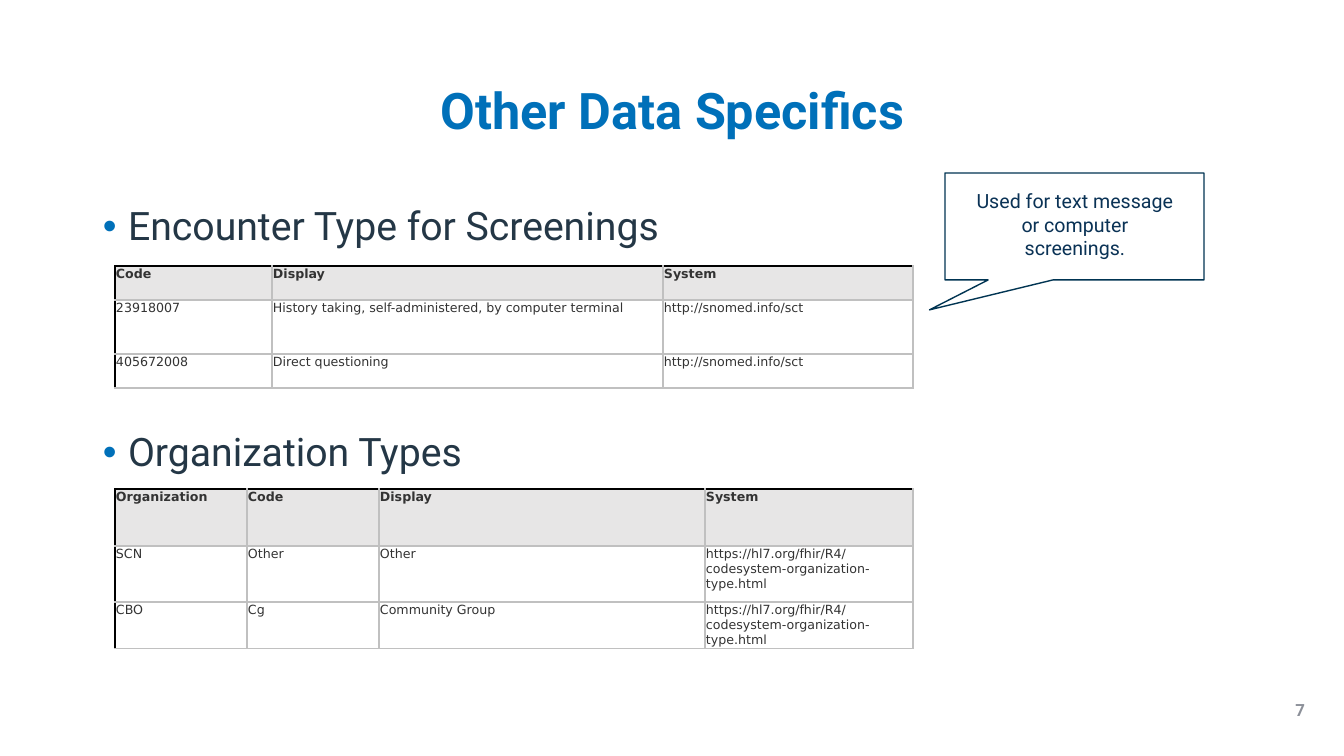
from dataclasses import dataclass

from lxml import etree
from pptx import Presentation
from pptx import util as u
from pptx.dml.color import RGBColor
from pptx.enum import shapes, text
from pptx.oxml import ns

PX = 914400 / 100.8  # EMU in one px


@dataclass(frozen=True)
class Theme:
    # Colours
    accent: str = "0070B9"
    body: str = "243746"
    muted: str = "8C9099"
    outline: str = "003452"
    callout: str = "0A3255"
    cell_text: str = "333333"
    header_fill: str = "E7E6E6"
    cell_fill: str = "FFFFFF"
    grid: str = "C0C0C0"
    edge: str = "000000"
    # Fonts and sizes in points
    font: str = "Roboto"
    table_font: str = "DejaVu Sans"
    title_size: int = 36
    body_size: int = 28
    callout_size: int = 14
    number_size: int = 12
    cell_size: int = 9


def px(*lengths):
    return [u.Emu(round(length * PX)) for length in lengths]


def add_node(parent, tag, index=None, **attributes):
    node = etree.Element(ns.qn(tag), **attributes)
    parent.insert(len(parent) if index is None else index, node)
    return node


class SlideBuilder:
    def __init__(self, page, theme):
        self.page = page
        self.theme = theme

    def style(self, para, size, color, bold=False, font=None):
        for span in para.runs:
            span.font.name = font or self.theme.font
            span.font.size = u.Pt(size)
            span.font.bold = bold
            span.font.color.rgb = RGBColor.from_string(color)

    def text(self, area, words, size, color, align=None, bold=False,
             anchor=text.MSO_ANCHOR.TOP, line_spacing=None):
        box = self.page.shapes.add_textbox(*px(*area))
        frame = box.text_frame
        frame.word_wrap = True
        frame.vertical_anchor = anchor
        frame.text = words
        for para in frame.paragraphs:
            para.alignment = align
            para.line_spacing = line_spacing
            self.style(para, size, color, bold)
        return box

    def bullets(self, area, items, gap):
        box = self.text(area, "\n".join(items), self.theme.body_size,
                        self.theme.body, line_spacing=0.9)
        for index, para in enumerate(box.text_frame.paragraphs):
            para.space_before = u.Pt(gap if index else 10)
            props = para._p.get_or_add_pPr()
            props.set("marL", str(u.Inches(0.25)))
            props.set("indent", str(-u.Inches(0.25)))
            color = add_node(props, "a:buClr")
            add_node(color, "a:srgbClr", val=self.theme.accent)
            add_node(props, "a:buFont", typeface="Arial")
            add_node(props, "a:buChar", char="•")

    def border(self, cell, index, side, color):
        line = add_node(cell._tc.get_or_add_tcPr(), f"a:ln{side}", index,
                        w=str(u.Pt(1)))
        add_node(add_node(line, "a:solidFill"), "a:srgbClr", val=color)

    def table(self, left, top, widths, heights, rows):
        theme = self.theme
        area = px(left, top, sum(widths), sum(heights))
        table = self.page.shapes.add_table(len(rows), len(widths), *area).table
        table.first_row = table.horz_banding = False
        for column, width in zip(table.columns, px(*widths)):
            column.width = width
        for row, height in zip(table.rows, px(*heights)):
            row.height = height
        for r, values in enumerate(rows):
            for c, value in enumerate(values):
                cell = table.cell(r, c)
                cell.text = value
                cell.margin_left, cell.margin_top, cell.margin_right, cell.margin_bottom = px(1, 1, 1, 0)
                self.style(cell.text_frame.paragraphs[0], theme.cell_size,
                           theme.cell_text, r == 0, theme.table_font)
                cell.fill.solid()
                cell.fill.fore_color.rgb = RGBColor.from_string(
                    theme.cell_fill if r else theme.header_fill)
                # The outer left and top edges are dark
                colors = {"L": theme.grid if c else theme.edge, "R": theme.grid,
                          "T": theme.grid if r else theme.edge, "B": theme.grid}
                for index, (side, color) in enumerate(colors.items()):
                    self.border(cell, index, side, color)

    def callout(self, area, tip):
        bubble = self.page.shapes.add_shape(
            shapes.MSO_SHAPE.RECTANGULAR_CALLOUT, *px(*area))
        bubble.adjustments[0], bubble.adjustments[1] = tip
        bubble.shadow.inherit = False
        bubble.fill.background()
        bubble.line.color.rgb = RGBColor.from_string(self.theme.outline)
        bubble.line.width = u.Pt(1)


def main():
    deck = Presentation()
    deck.slide_width, deck.slide_height = px(1344, 756)
    theme = Theme()
    slide = SlideBuilder(deck.slides.add_slide(deck.slide_layouts[6]), theme)
    center, right = text.PP_ALIGN.CENTER, text.PP_ALIGN.RIGHT
    middle = text.MSO_ANCHOR.MIDDLE

    # Title, bullets and page number
    slide.text((93, 40, 1159, 146), "Other Data Specifics", theme.title_size,
               theme.accent, center, True, middle, 0.9)
    slide.bullets((93, 202, 1159, 480),
                  ["Encounter Type for Screenings", "Organization Types"], gap=131)
    slide.text((1013, 690, 302, 40), "7", theme.number_size, theme.muted,
               right, True, middle)

    # Encounter types
    snomed = "http://snomed.info/sct"
    slide.table(115, 266, [157, 391, 250], [34, 54, 34], [
        ["Code", "Display", "System"],
        ["23918007", "History taking, self-administered, by computer terminal", snomed],
        ["405672008", "Direct questioning", snomed],
    ])

    # Organization types
    organization_system = "https://hl7.org/fhir/R4/codesystem-organization-type.html"
    slide.table(115, 489, [132, 132, 326, 208], [57, 56, 38], [
        ["Organization", "Code", "Display", "System"],
        ["SCN", "Other", "Other", organization_system],
        ["CBO", "Cg", "Community Group", organization_system],
    ])

    # Callout on direct screenings
    slide.callout((945, 173, 259, 107), tip=(-0.56, 0.78))
    slide.text((963, 184, 224, 82), "Used for text message or computer screenings.",
               theme.callout_size, theme.callout, center)

    deck.save("out.pptx")


if __name__ == "__main__":
    main()
